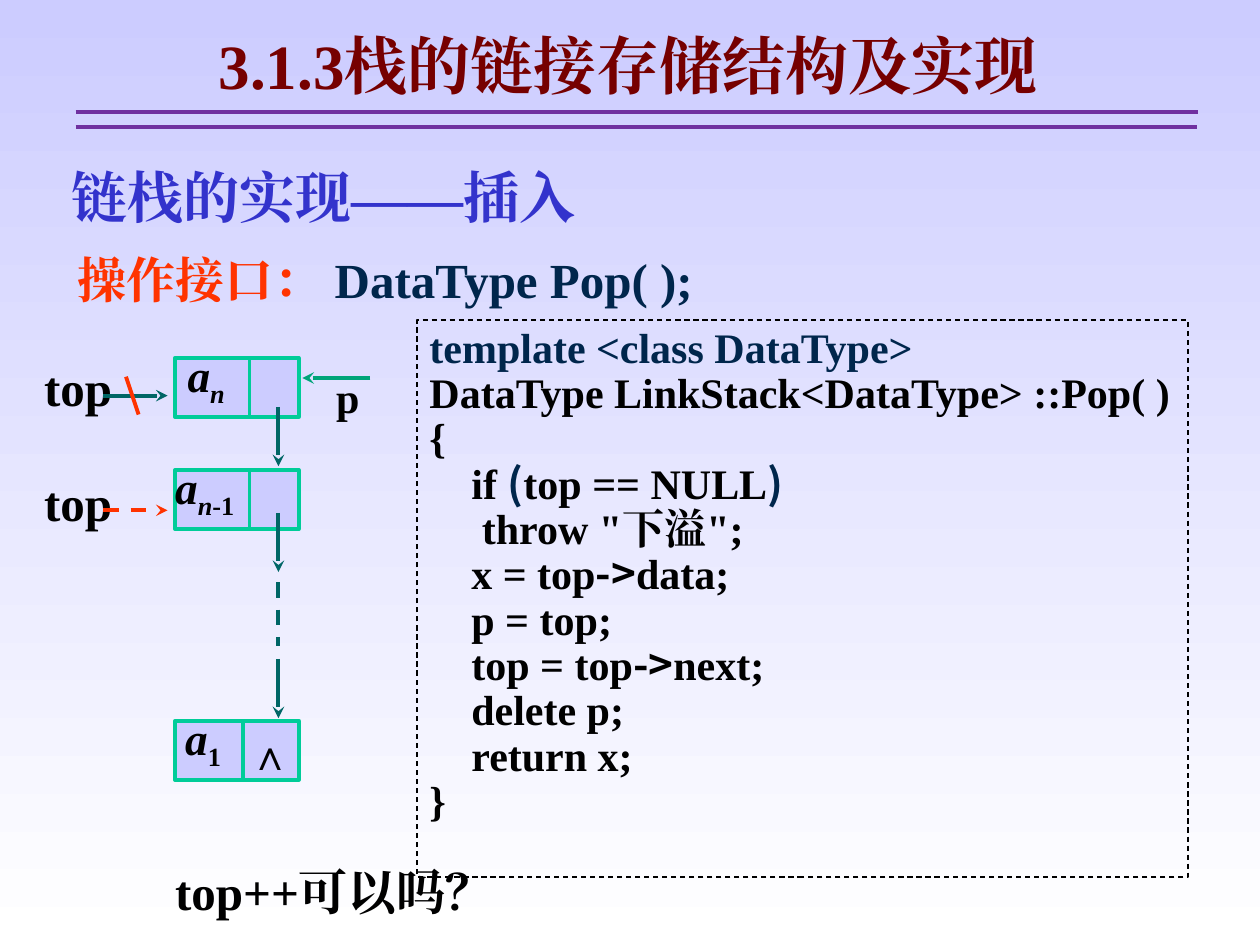
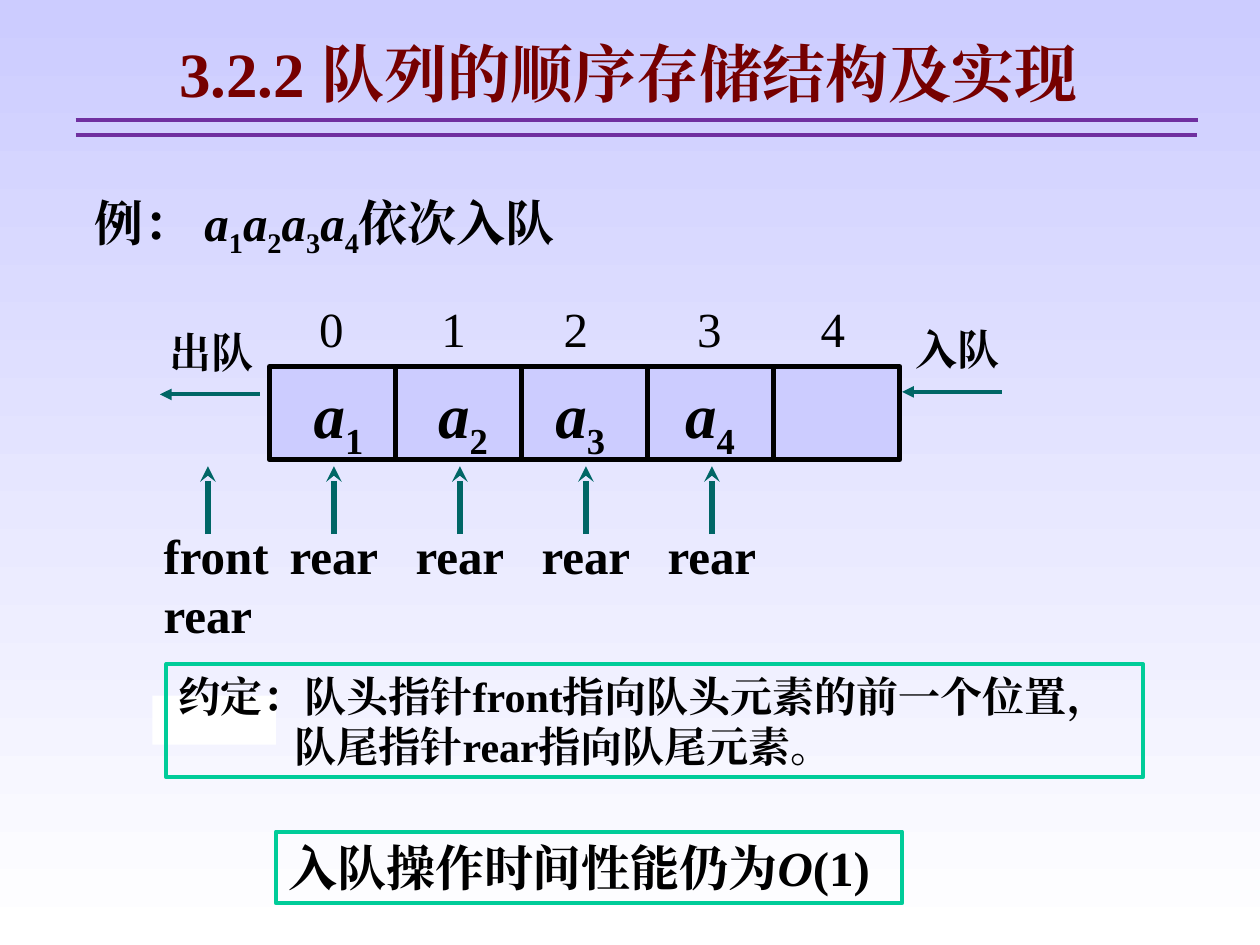
import dataclasses

import lxml.etree
import pptx
import pptx.dml.color
import pptx.enum.dml
import pptx.enum.shapes
import pptx.enum.text
import pptx.oxml.ns
import pptx.util

RGB = pptx.dml.color.RGBColor
ALIGN = pptx.enum.text.PP_ALIGN
ANCHOR = pptx.enum.text.MSO_ANCHOR
DASH = pptx.enum.dml.MSO_LINE.DASH

BLACK = RGB(0x00, 0x00, 0x00)
WHITE = RGB(0xFF, 0xFF, 0xFF)
LILAC = RGB(0xCC, 0xCC, 0xFF)
MAROON = RGB(0x76, 0x00, 0x00)
PURPLE = RGB(0x70, 0x30, 0xA0)
BLUE = RGB(0x33, 0x33, 0xCC)
NAVY = RGB(0x00, 0x26, 0x4C)
RED = RGB(0xFF, 0x33, 0x00)
MINT = RGB(0x00, 0xCC, 0x99)
GREEN = RGB(0x00, 0xA4, 0x79)
TEAL = RGB(0x00, 0x66, 0x66)

SERIF = "Times New Roman"
SANS = "Noto Sans CJK SC"
WIDTH, HEIGHT = pptx.util.Inches(10), pptx.util.Inches(7.5)
UNIT = WIDTH / 100
INSET = (1, 0.5, 1, 0.5)


def grid(*cells):
    return [pptx.util.Emu(round(cell * UNIT)) for cell in cells]


@dataclasses.dataclass
class Box:
    x: float
    y: float
    w: float
    h: float

    def inner(self, x, y, w, h):
        return Box(self.x + x, self.y + y, w, h)

    def emu(self):
        return grid(self.x, self.y, self.w, self.h)


@dataclasses.dataclass
class Run:
    text: str
    color: RGB = BLACK
    bold: bool = True
    slant: bool = False
    low: bool = False
    face: str = SERIF


def var(name, index, slant=False):
    return [Run(name, slant=True), Run(index, slant=slant, low=True)]


def tag(parent, name, **attrs):
    return lxml.etree.SubElement(parent, pptx.oxml.ns.qn(name), **attrs)


def write(shape, lines, size, align=ALIGN.LEFT, pitch=1.0, inset=INSET, anchor=ANCHOR.TOP):
    frame = shape.text_frame
    frame.word_wrap = True
    frame.auto_size = pptx.enum.text.MSO_AUTO_SIZE.NONE
    frame.vertical_anchor = anchor
    frame.margin_left, frame.margin_top, frame.margin_right, frame.margin_bottom = grid(*inset)
    for index, line in enumerate(lines):
        para = frame.add_paragraph() if index else frame.paragraphs[0]
        para.alignment = align
        para.line_spacing = pitch
        for item in line:
            run = para.add_run()
            run.text = item.text
            font = run.font
            font.name = item.face
            font.size = pptx.util.Pt(size)
            font.bold = item.bold
            font.italic = item.slant
            font.color.rgb = item.color
            props = run._r.get_or_add_rPr()
            props.set("lang", "zh-CN")
            tag(props, "a:ea", typeface=item.face)
            if item.low:
                props.set("baseline", "-25000")
    return frame


def label(slide, box, runs, size, **opts):
    return write(slide.shapes.add_textbox(*box.emu()), [runs], size, **opts)


def rect(slide, box, fill=None, color=None, width=2.25):
    shape = slide.shapes.add_shape(pptx.enum.shapes.MSO_SHAPE.RECTANGLE, *box.emu())
    shape.shadow.inherit = False
    if fill is None:
        shape.fill.background()
    else:
        shape.fill.solid()
        shape.fill.fore_color.rgb = fill
    if color is None:
        shape.line.fill.background()
    else:
        shape.line.color.rgb = color
        shape.line.width = pptx.util.Pt(width)
    return shape


def link(slide, box, start, end, color, width=2.25, head=None, dash=None):
    ends = (box.x + start[0], box.y + start[1], box.x + end[0], box.y + end[1])
    line = slide.shapes.add_connector(pptx.enum.shapes.MSO_CONNECTOR.STRAIGHT, *grid(*ends))
    line.line.color.rgb = color
    line.line.width = pptx.util.Pt(width)
    if dash:
        line.line.dash_style = dash
    if head:
        tag(line.line._get_or_add_ln(), "a:tailEnd", type=head)
    tag(line._element.spPr, "a:effectLst")


def heading(slide, box, text):
    title = slide.shapes.title
    title.left, title.top, title.width, title.height = box.inner(0, 0, 87.7, 7).emu()
    write(title, [[Run(text, MAROON)]], 36, align=ALIGN.CENTER)
    for row, col in ((7.3, box.w), (8.5, box.w - 0.1)):
        link(slide, box, (0, row), (col, row), PURPLE)


def intro(slide, box):
    label(slide, box.inner(0, 0, 45.8, 6.4), [Run("链栈的实现——插入", BLUE)], 32)
    runs = [Run("操作接口： ", RED), Run("DataType Pop( );", NAVY)]
    label(slide, box.inner(0.5, 6.9, 59.6, 5.7), runs, 28)


def listing(slide, box):
    frame = rect(slide, box, color=BLACK, width=0.75)
    frame.line.dash_style = DASH
    arrow = Run("->", face=SANS)
    lines = [
        [Run("template <class DataType>", NAVY)],
        [Run("DataType LinkStack<DataType> ::Pop( )")],
        [Run("{")],
        [Run("    if "), Run("(", NAVY, face=SANS), Run("top == NULL"), Run(")", NAVY, face=SANS)],
        [Run('     throw "下溢";')],
        [Run("    x = top"), arrow, Run("data;")],
        [Run("    p = top;")],
        [Run("    top = top"), arrow, Run("next;")],
        [Run("    delete p;")],
        [Run("    return x;")],
        [Run("}")],
    ]
    write(frame, lines, 24, pitch=pptx.util.Pt(25.9))


def node(slide, box, runs, split, pad):
    shape = rect(slide, box, LILAC, MINT)
    write(shape, [runs], 25.9, pitch=0.7, inset=(pad, 0, 0, 0.8))
    link(slide, box, (split, 0), (split, box.h), MINT)


def chain(slide, box):
    nodes = (
        (0, var("a", "n", True), 5.9, 1),
        (8.9, var("a", "n", True) + [Run("-1", low=True)], 5.9, 0),
        (28.8, var("a", "1"), 5.4, 0.8),
    )
    for row, runs, split, pad in nodes:
        node(slide, box.inner(10.4, row, 9.8, 4.7), runs, split, pad)
    label(slide, box.inner(15.3, 28.9, 4.9, 5), [Run("∧")], 24, align=ALIGN.CENTER)
    for row in (3.9, 12.3, 23.9):
        link(slide, box, (18.6, row), (18.6, row + 4.7), TEAL, head="stealth")
    link(slide, box, (18.6, 17.8), (18.6, 22.9), TEAL, dash=DASH)
    for row, color, dash in ((3, TEAL, None), (12.1, RED, DASH)):
        label(slide, box.inner(0, row - 3, 5.7, 5.1), [Run("top")], 28, inset=(0, 0, 0, 0.4))
        link(slide, box, (4.7, row), (9.8, row), color, head="stealth", dash=dash)
    link(slide, box, (6.5, 1.5), (7.5, 4.5), RED)
    link(slide, box, (25.9, 1.6), (20.5, 1.6), GREEN, head="stealth")
    label(slide, box.inner(22.2, 0.6, 3.9, 5), [Run("p")], 24)


def pop(deck):
    slide = deck.slides.add_slide(deck.slide_layouts[5])
    heading(slide, Box(6, 1.6, 89.1, 8.5), "3.1.3栈的链接存储结构及实现")
    listing(slide, Box(33.1, 25.4, 61.2, 44.2))
    intro(slide, Box(4.7, 12.4, 60.1, 12.6))
    chain(slide, Box(3.5, 28.4, 26.1, 33.9))
    label(slide, Box(13.9, 67.9, 43.8, 5.7), [Run("top++可以吗？")], 28, inset=(0, 0.5, 0, 0.5))


def cells(slide, box):
    side = box.w / 5
    for index in range(5):
        rect(slide, box.inner(index * side, 0, side, box.h), LILAC, BLACK, 3)
    for index, mid in enumerate((4.9, 14.6, 24.3, 34.9, 44.7)):
        label(slide, box.inner(mid - 3, -5.9, 6, 5.7), [Run(str(index), bold=False)], 28,
              align=ALIGN.CENTER)
    for index, left in enumerate((2.5, 12.4, 21.7, 32), 1):
        label(slide, box.inner(left, 0.2, 6.4, 7.9), var("a", str(index)), 36)
    for text, left, top, start in (("出队", -8.9, -3.7, -0.8), ("入队", 50.3, -3.9, 58.1)):
        label(slide, box.inner(left, top, 10.8, 5), [Run(text)], 24)
        row = top + 5.9
        link(slide, box, (start, row), (start - 7.9, row), TEAL, head="triangle")


def marks(slide, box):
    step = box.w / 5
    for index, text in enumerate(["front rear"] + ["rear"] * 4):
        left = index * step
        link(slide, box, (left + 4.5, 5.4), (left + 4.5, 0), TEAL, 3, "stealth")
        label(slide, box.inner(left, 4.2, 11.3, 10.4), [Run(text)], 28)


def rules(slide, box):
    rect(slide, box.inner(-1.1, 2.5, 9.8, 3.9), WHITE)
    lines = [
        [Run("约定：队头指针front指向队头元素的前一个位置，")],
        [Run("队尾指针rear指向队尾元素。")],
    ]
    shape = rect(slide, box.inner(0, 0, box.w, 9), color=MINT)
    frame = write(shape, lines, 24, inset=(1, 0.5, 0, 0.5), anchor=ANCHOR.MIDDLE)
    frame.paragraphs[1]._p.get_or_add_pPr().set("marL", str(grid(9.2)[0]))
    cost = rect(slide, box.inner(8.7, 13.3, 49.7, 5.7), color=MINT)
    write(cost, [[Run("入队操作时间性能仍为"), Run("O", slant=True), Run("(1)")]], 28)


def queue(deck):
    slide = deck.slides.add_slide(deck.slide_layouts[5])
    heading(slide, Box(6, 2.25, 89.1, 8.5), "3.2.2 队列的顺序存储结构及实现")
    names = [run for index in "1234" for run in var("a", index)]
    label(slide, Box(6.5, 14.8, 42.8, 6.3), [Run("例： ")] + names + [Run("依次入队")], 28)
    cells(slide, Box(21.4, 29.1, 50, 7.4))
    marks(slide, Box(12, 37, 50, 14.6))
    rules(slide, Box(13.2, 52.7, 77.5, 19))


def main():
    deck = pptx.Presentation()
    deck.slide_width, deck.slide_height = WIDTH, HEIGHT
    fill = deck.slide_master.background.fill
    fill.gradient()
    fill.gradient_angle = 270
    for stop, color in zip(fill.gradient_stops, (LILAC, WHITE)):
        stop.color.rgb = color
    pop(deck)
    queue(deck)
    deck.save("out.pptx")


if __name__ == "__main__":
    main()
